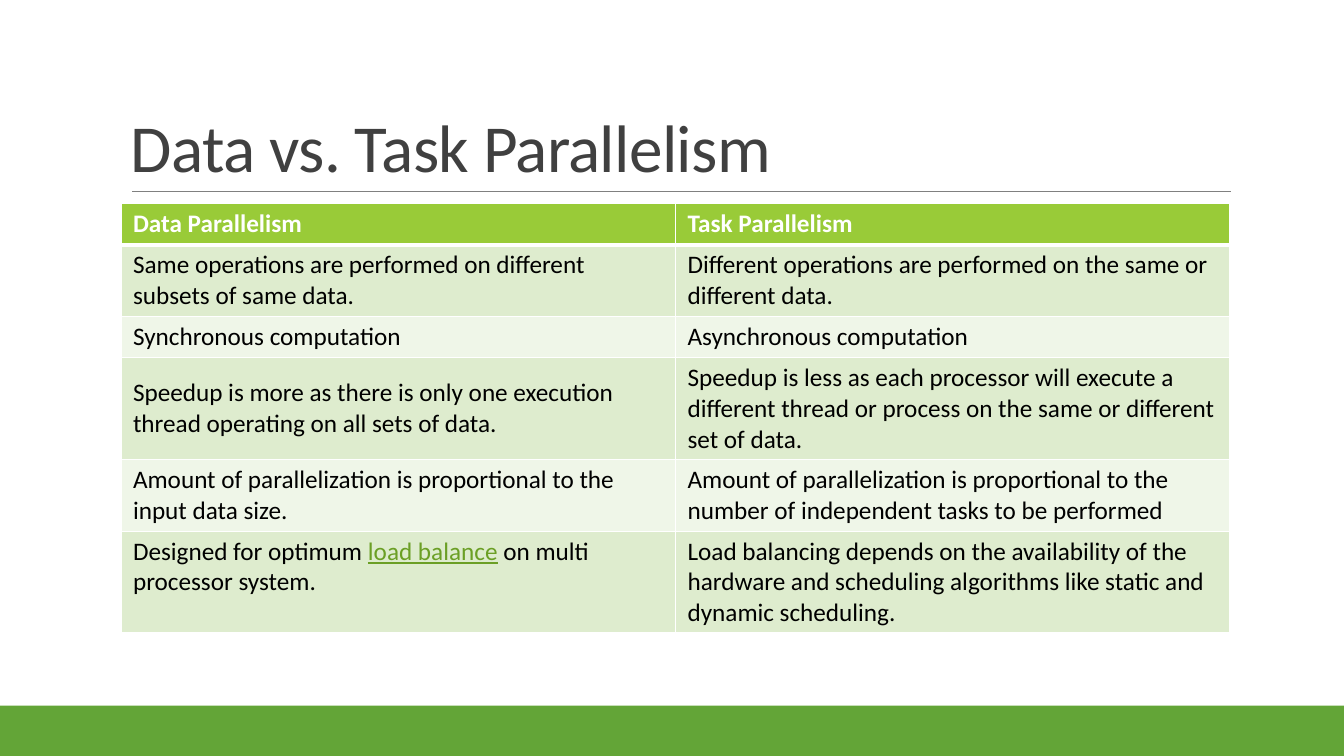
"""Build a slide that compares data and task parallelism in a table."""
from dataclasses import dataclass

from lxml import etree
from pptx import Presentation
from pptx.dml.color import RGBColor as Rgb
from pptx.enum import shapes, text
from pptx.oxml import ns
from pptx.util import Inches, Pt


@dataclass(frozen=True)
class Theme:
    """Colours, type sizes and font of the slide."""
    font: str = "Calibri"
    green: str = "63A537"
    rule: str = "808080"
    title: str = "404040"
    head: str = "99CB38"
    bands: tuple = ("DEECCE", "EFF6E8")
    white: str = "FFFFFF"
    ink: str = "000000"
    link: str = "6B9F25"
    big: int = 48
    body: int = 18


THEME = Theme()
ROWS = [
    ("Data Parallelism", "Task Parallelism"),
    ("Same operations are performed on different subsets of same data.",
     "Different operations are performed on the same or different data."),
    ("Synchronous computation", "Asynchronous computation"),
    ("Speedup is more as there is only one execution thread operating on all sets of data.",
     "Speedup is less as each processor will execute a different thread or process"
     " on the same or different set of data."),
    ("Amount of parallelization is proportional to the input data size.",
     "Amount of parallelization is proportional to the number of independent tasks"
     " to be performed"),
    (("Designed for optimum ", "load balance", " on multi processor system."),
     "Load balancing depends on the availability of the hardware and scheduling"
     " algorithms like static and dynamic scheduling."),
]
HEIGHTS = (0.41, 0.71, 0.41, 1.01, 0.71, 1.01)
MIDDLE = (3, 0)
INSETS = {"margin_left": Inches(0.12), "margin_right": Inches(0.12),
          "margin_top": Inches(0.05), "margin_bottom": Inches(0.05)}


def apply(item, values):
    """Set each named value on the item."""
    for name, value in values.items():
        setattr(item, name, value)


def paint(fill, color):
    """Give a fill one solid colour."""
    fill.solid()
    fill.fore_color.rgb = Rgb.from_string(color)


def add_run(para, words, size, color, **extra):
    """Add one run of text with its format."""
    run = para.add_run()
    run.text = words
    apply(run.font, {"name": THEME.font, "size": Pt(size), **extra})
    run.font.color.rgb = Rgb.from_string(color)
    return run


def add_band(slide):
    """Draw the green band along the foot."""
    band = slide.shapes.add_shape(shapes.MSO_SHAPE.RECTANGLE, Inches(0), Inches(7),
                                  Inches(13.33), Inches(0.5))
    band.shadow.inherit = False
    paint(band.fill, THEME.green)
    band.line.fill.background()


def add_rule(slide):
    """Draw the thin line below the title."""
    rule = slide.shapes.add_connector(shapes.MSO_CONNECTOR.STRAIGHT, Inches(1.31),
                                      Inches(1.9), Inches(12.21), Inches(1.9))
    rule.line.width = Pt(0.5)
    rule.line.color.rgb = Rgb.from_string(THEME.rule)
    etree.SubElement(rule._element.spPr, ns.qn("a:effectLst"))


def add_title(slide, words):
    """Add the title, set at the bottom of its box."""
    box = slide.shapes.add_textbox(Inches(1.2), Inches(0.31), Inches(11), Inches(1.59))
    frame = box.text_frame
    apply(frame, {"word_wrap": True, "vertical_anchor": text.MSO_ANCHOR.BOTTOM})
    para = frame.paragraphs[0]
    para.line_spacing = 0.85
    run = add_run(para, words, THEME.big, THEME.title)
    run.font._element.set("spc", "-50")


def add_edges(cell, foot):
    """Put white lines on the four sides of a cell."""
    props = cell._tc.get_or_add_tcPr()
    for spot, (side, width) in enumerate(zip("LRTB", (1, 1, 1, foot))):
        edge = etree.Element(ns.qn(f"a:ln{side}"), w=str(Pt(width)))
        solid = etree.SubElement(edge, ns.qn("a:solidFill"))
        etree.SubElement(solid, ns.qn("a:srgbClr"), val=THEME.white)
        props.insert(spot, edge)


def fill_cell(cell, words, row, col):
    """Write and format one cell of the table."""
    head = row == 0
    paint(cell.fill, THEME.head if head else THEME.bands[(row - 1) % 2])
    add_edges(cell, 3 if head else 1)
    middle = (row, col) == MIDDLE
    anchor = text.MSO_ANCHOR.MIDDLE if middle else text.MSO_ANCHOR.TOP
    apply(cell, {**INSETS, "vertical_anchor": anchor})
    parts = (words,) if isinstance(words, str) else words
    para = cell.text_frame.paragraphs[0]
    for spot, part in enumerate(parts):
        link = spot == 1
        color = THEME.white if head else THEME.link if link else THEME.ink
        add_run(para, part, THEME.body, color, bold=head, underline=link)


def add_grid(slide):
    """Add the table of differences."""
    frame = slide.shapes.add_table(len(ROWS), 2, Inches(1.2), Inches(2.02),
                                   Inches(11), Inches(sum(HEIGHTS)))
    table = frame.table
    for row, (pair, height) in enumerate(zip(ROWS, HEIGHTS)):
        table.rows[row].height = Inches(height)
        for col, words in enumerate(pair):
            fill_cell(table.cell(row, col), words, row, col)


def main():
    """Build the slide and save it."""
    deck = Presentation()
    apply(deck, {"slide_width": Inches(13.33), "slide_height": Inches(7.5)})
    slide = deck.slides.add_slide(deck.slide_layouts[6])
    add_band(slide)
    add_rule(slide)
    add_title(slide, "Data vs. Task Parallelism")
    add_grid(slide)
    deck.save("out.pptx")


if __name__ == "__main__":
    main()
